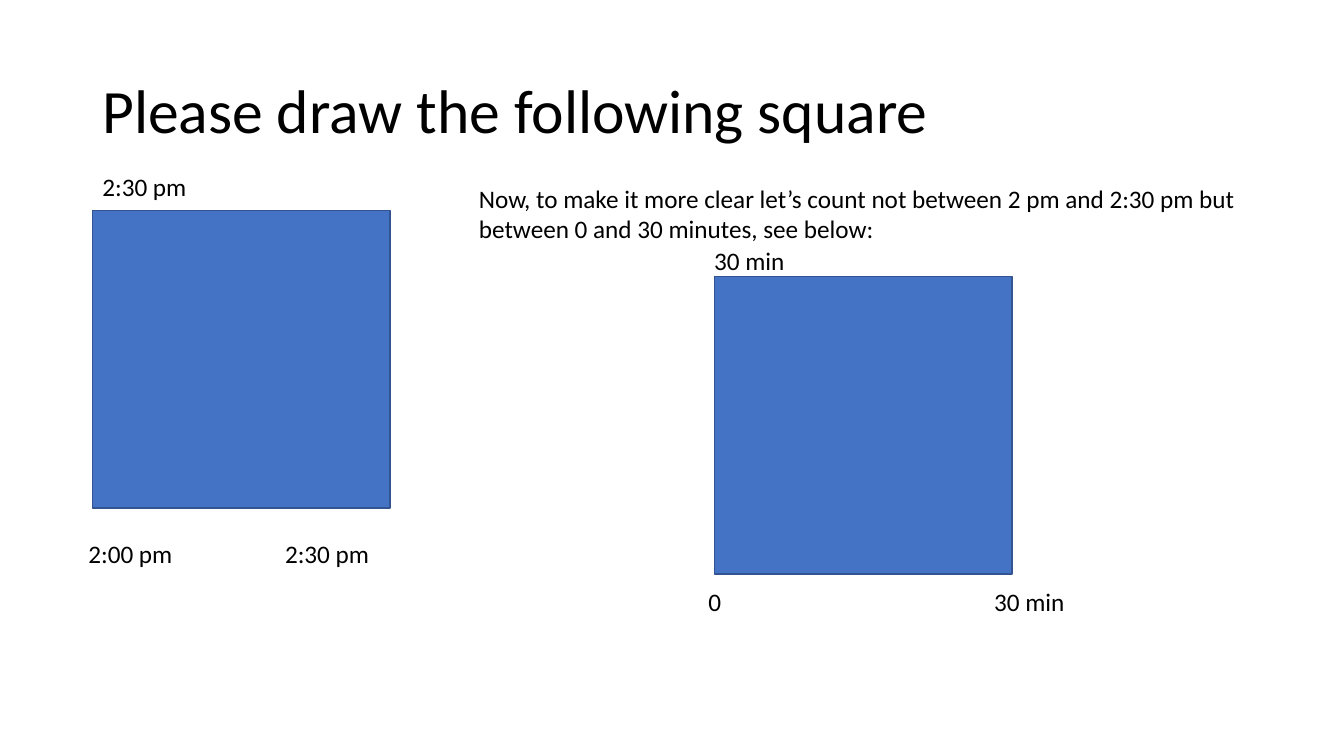
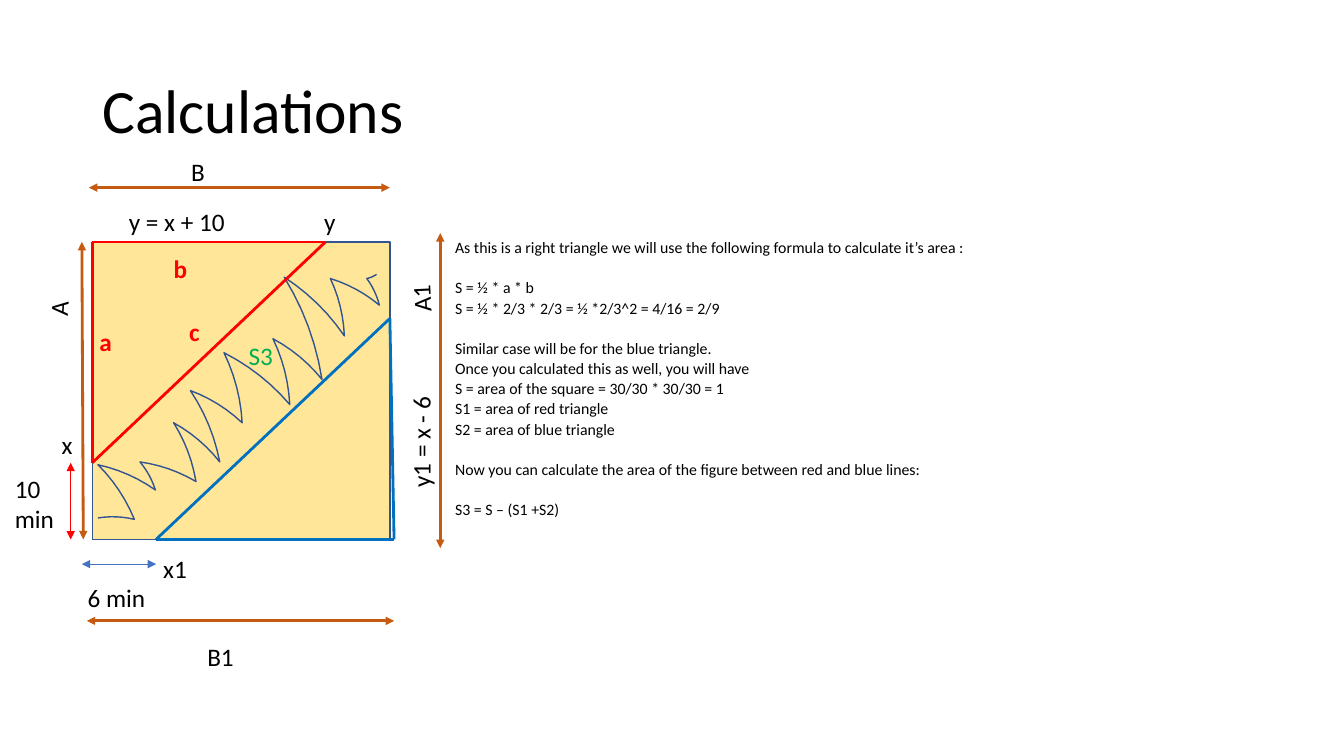
from lxml import etree
from pptx import Presentation
from pptx.dml.color import RGBColor
from pptx.enum.shapes import MSO_CONNECTOR, MSO_SHAPE
from pptx.enum.text import MSO_ANCHOR
from pptx.oxml.ns import qn
from pptx.util import Pt

STRAIGHT = MSO_CONNECTOR.STRAIGHT
RECTANGLE = MSO_SHAPE.RECTANGLE
MIDDLE = MSO_ANCHOR.MIDDLE

FONT = "Calibri"
TITLE_SIZE, LABEL_SIZE, SOLUTION_SIZE = 44, 18, 11.3
BLACK = RGBColor(0x00, 0x00, 0x00)
BLUE = RGBColor(0x44, 0x72, 0xC4)
NAVY = RGBColor(0x32, 0x54, 0x91)
YELLOW = RGBColor(0xFF, 0xE6, 0x99)
RED = RGBColor(0xFF, 0x00, 0x00)
SEA = RGBColor(0x00, 0x70, 0xC0)
ORANGE = RGBColor(0xC5, 0x5A, 0x11)
GREEN = RGBColor(0x00, 0xB0, 0x50)

SIDE = 212.5
LEFT = 66
LABEL_HEIGHT = 29
LINE_PITCH = 14.4

TOP = 172.8
RIGHT, BOTTOM = LEFT + SIDE, TOP + SIDE
RED_START_Y, RED_END_X = 330.5, 232.5
BLUE_START_X, BLUE_END_Y = 111.5, 227.5
OVERHANG = 3

RED_TRIANGLE = [(LEFT, RED_START_Y), (LEFT, TOP), (RED_END_X, TOP)]
BLUE_TRIANGLE = [(BLUE_START_X, BOTTOM), (RIGHT + OVERHANG, BOTTOM), (RIGHT, BLUE_END_Y)]

CRESTS = [(70, 332), (100, 330), (124, 302), (136, 279), (160, 252),
          (195, 242), (203, 198), (236, 199), (262, 199)]
TROUGHS = [(96, 371), (111, 350), (140, 344), (157, 330), (173, 302),
           (207, 289), (230, 271), (246, 240), (271, 218)]
SCRIBBLE_START, SCRIBBLE_END = (70, 370), (269, 196)
BOW = 0.05
STEPS = 6

FIGURE_LABELS = [
    ("10 min", 3.5, 334.5, 50),
    ("6 min", 55.5, 412.5, 64),
    ("x", 37, 303, 28),
    ("x1", 109.5, 391.5, 40),
    ("y = x + 10", 85, 144, 95),
    ("y", 224.5, 144, 28),
    ("B", 129.5, 108, 30),
    ("B1", 141, 454.5, 45),
]
RED_SIDE_LABELS = [
    ("a", 64, 229.5, 45),
    ("b", 117, 177.5, 30),
    ("c", 128, 222.5, 30),
]
TURNED_LABELS = [
    ("A", 26, 202, 32, 273.7),
    ("A1", 279, 194, 43, 267.3),
    ("y1 = x - 6", 260, 300.5, 81, 270),
]
SOLUTION = [
    ["As this is a right triangle we will use the following formula "
     "to calculate it’s area :"],
    ["S = ½ * a * b", "S = ½ * 2/3 * 2/3 = ½ *2/3^2 = 4/16 = 2/9"],
    ["Similar case will be for the blue triangle.",
     "Once you calculated this as well, you will have",
     "S = area of the square = 30/30 * 30/30 = 1",
     "S1 = area of red triangle",
     "S2 = area of blue triangle"],
    ["Now you can calculate the area of the figure between red and blue lines:"],
    ["S3 = S – (S1 +S2)"],
]


def add_box(page, left, top, width, height):
    box = page.shapes.add_textbox(Pt(left), Pt(top), Pt(width), Pt(height))
    box.text_frame.word_wrap = True
    return box


def add_span(para, text, size, color=BLACK, bold=False):
    span = para.add_run()
    span.text = text
    span.font.name = FONT
    span.font.size = Pt(size)
    span.font.bold = bold
    span.font.color.rgb = color


def add_page(deck, title):
    page = deck.slides.add_slide(deck.slide_layouts[6])
    box = add_box(page, LEFT, 28.8, 828, 104.4)
    box.text_frame.vertical_anchor = MIDDLE
    para = box.text_frame.paragraphs[0]
    para.line_spacing = 0.9
    add_span(para, title, TITLE_SIZE)
    return page


def add_label(page, text, left, top, width, rotation=0, color=BLACK, bold=False):
    box = add_box(page, left, top, width, LABEL_HEIGHT)
    box.rotation = rotation
    add_span(box.text_frame.paragraphs[0], text, LABEL_SIZE, color, bold)


def outline_shape(shape):
    shape.shadow.inherit = False
    shape.line.color.rgb = NAVY
    shape.line.width = Pt(1)


def add_square(page, left, top, color):
    square = page.shapes.add_shape(RECTANGLE, Pt(left), Pt(top), Pt(SIDE), Pt(SIDE))
    square.fill.solid()
    square.fill.fore_color.rgb = color
    outline_shape(square)


def add_line(page, start, end, color, width=2):
    line = page.shapes.add_connector(STRAIGHT, *map(Pt, start + end))
    line.line.color.rgb = color
    line.line.width = Pt(width)
    etree.SubElement(line._element.spPr, qn("a:effectLst"))
    return line


def add_dimension(page, start, end, color=ORANGE, width=2):
    outline = add_line(page, start, end, color, width).line._get_or_add_ln()
    for tag in ("a:headEnd", "a:tailEnd"):
        etree.SubElement(outline, qn(tag), type="triangle")


def add_triangle(page, corners, color):
    for start, end in zip(corners, corners[1:] + corners[:1]):
        add_line(page, start, end, color)


def bowed_stroke(start, end):
    across, down = end[0] - start[0], end[1] - start[1]
    side = 1 if down > 0 else -1
    for step in range(1, STEPS + 1):
        share = step / STEPS
        bulge = 4 * BOW * share * (1 - share) * side
        yield (start[0] + across * share + down * bulge,
               start[1] + down * share - across * bulge)


def add_scribble(page):
    turns = [SCRIBBLE_START, TROUGHS[0]]
    for crest, trough in zip(CRESTS, TROUGHS[1:]):
        turns += [crest, trough]
    turns += [CRESTS[-1], SCRIBBLE_END]
    points = [(Pt(x), Pt(y)) for start, end in zip(turns, turns[1:])
              for x, y in bowed_stroke(start, end)]
    builder = page.shapes.build_freeform(*map(Pt, SCRIBBLE_START))
    builder.add_line_segments(points, close=False)
    scribble = builder.convert_to_shape()
    scribble.fill.background()
    outline_shape(scribble)


def add_solution(page):
    frame = add_box(page, 318, 165.5, 470, 220).text_frame
    para = frame.paragraphs[0]
    for group_index, group in enumerate(SOLUTION):
        for line_index, text in enumerate(group):
            if group_index or line_index:
                para = frame.add_paragraph()
            starts_later_group = group_index > 0 and line_index == 0
            para.line_spacing = Pt(LINE_PITCH)
            para.space_before = Pt(LINE_PITCH if starts_later_group else 0)
            add_span(para, text, SOLUTION_SIZE)


def build_square_page(deck):
    page = add_page(deck, "Please draw the following square")
    clock_top, minute_left, minute_top = 150.5, 510.5, 197.5
    clock_row, minute_row = clock_top + 230.5, minute_top + 217.5
    add_square(page, LEFT, clock_top, BLUE)
    add_label(page, "2:30 pm", LEFT, 119, 82)
    add_label(page, "2:00 pm", 56, clock_row, 82)
    add_label(page, "2:30 pm", 196.5, clock_row, 82)

    add_label(page, "Now, to make it more clear let’s count not between 2 pm and "
              "2:30 pm but between 0 and 30 minutes, see below:", 335, 127.5, 600)
    add_square(page, minute_left, minute_top, BLUE)
    add_label(page, "30 min", 503, 172, 80)
    add_label(page, "0", 499, minute_row, 30)
    add_label(page, "30 min", 703, minute_row, 80)


def add_dimensions(page):
    add_dimension(page, (50.5, RED_START_Y), (50.5, BOTTOM), RED, 0.5)
    add_dimension(page, (58.5, 403), (BLUE_START_X, 403), BLUE, 0.5)
    add_dimension(page, (58.5, TOP), (59.5, BOTTOM))
    add_dimension(page, (63.5, 134), (RIGHT, 134))
    add_dimension(page, (62, 443.5), (RIGHT + OVERHANG, 443.5))
    add_dimension(page, (314.5, 166.5), (314.5, 391.5))


def build_calculation_page(deck):
    page = add_page(deck, "Calculations")
    add_solution(page)
    add_square(page, LEFT, TOP, YELLOW)
    add_scribble(page)
    add_triangle(page, RED_TRIANGLE, RED)
    add_triangle(page, BLUE_TRIANGLE, SEA)
    add_dimensions(page)
    for label in FIGURE_LABELS + TURNED_LABELS:
        add_label(page, *label)
    for label in RED_SIDE_LABELS:
        add_label(page, *label, color=RED, bold=True)
    add_label(page, "S3", 170.5, 239.5, 42, color=GREEN)


def main():
    deck = Presentation()
    deck.slide_width, deck.slide_height = Pt(960), Pt(540)
    build_square_page(deck)
    build_calculation_page(deck)
    deck.save("out.pptx")


if __name__ == "__main__":
    main()
